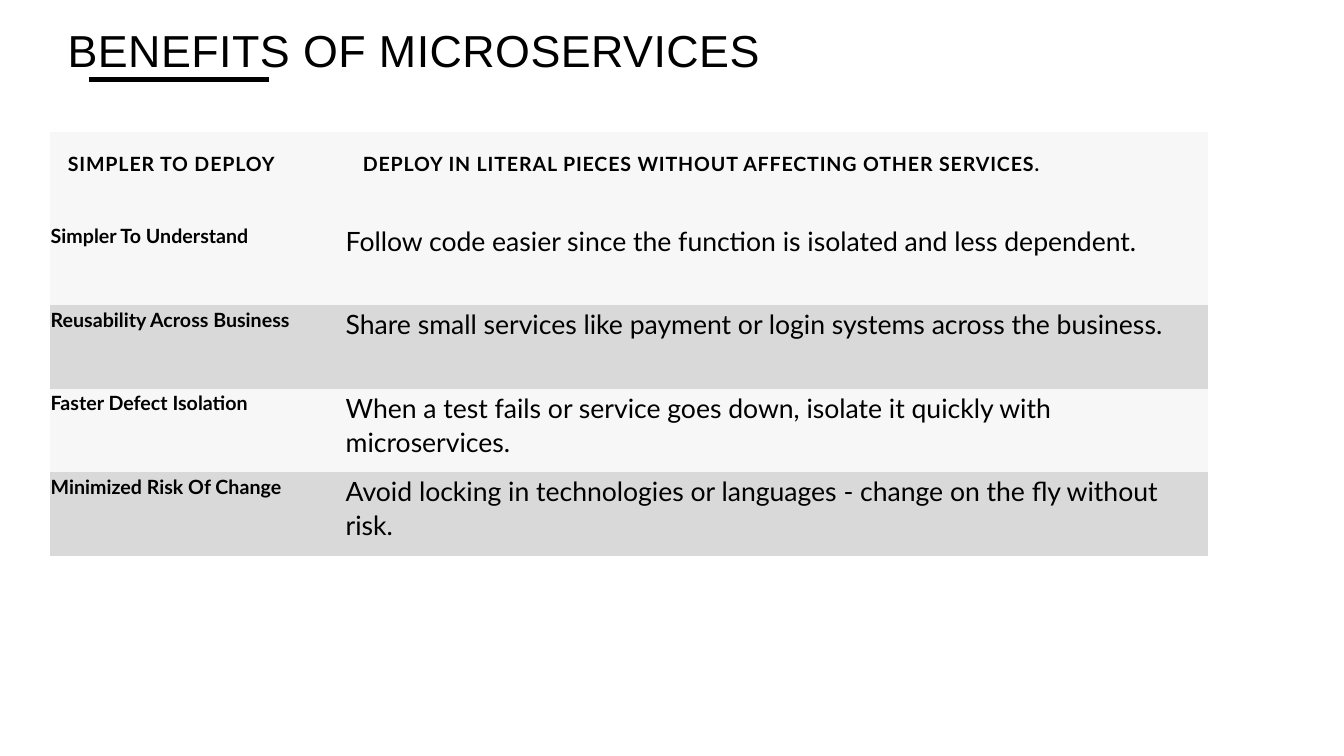
"""Build the slide on the benefits of microservices."""
from pptx import Presentation
from pptx import util as u
from pptx.dml import color
from pptx.enum import shapes, text
from pptx.oxml import ns, xmlchemy

BLACK = color.RGBColor(0x00, 0x00, 0x00)
PALE = color.RGBColor(0xF7, 0xF7, 0xF7)
GREY = color.RGBColor(0xD9, 0xD9, 0xD9)
NO_TABLE_STYLE = "{2D5ABB26-0587-4C30-8999-92F81FD0307C}"

BENEFITS = [
    ("SIMPLER TO DEPLOY",
     "DEPLOY IN LITERAL PIECES WITHOUT AFFECTING OTHER SERVICES."),
    ("Simpler To Understand",
     "Follow code easier since the function is isolated and less dependent."),
    ("Reusability Across Business",
     "Share small services like payment or login systems across the business."),
    ("Faster Defect Isolation",
     "When a test fails or service goes down, isolate it quickly with microservices."),
    ("Minimized Risk Of Change",
     "Avoid locking in technologies or languages - change on the fly without risk."),
]


def write(frame, wording, font="Lato", size=14, bold=False, tracking=0, leading=1.07):
    paragraph = frame.paragraphs[0]
    paragraph.alignment = text.PP_ALIGN.LEFT
    paragraph.line_spacing = leading
    paragraph.space_after = u.Pt(8)
    run = paragraph.add_run()
    run.text = wording
    run.font.name = font
    run.font.size = u.Pt(size)
    run.font.bold = bold
    run.font.color.rgb = BLACK
    run.font._element.set("spc", str(round(tracking * 100)))


class Deck:
    def __init__(self):
        self.presentation = Presentation()
        self.presentation.slide_width = u.Inches(13.33)
        self.presentation.slide_height = u.Inches(7.5)
        self.slide = self.presentation.slides.add_slide(
            self.presentation.slide_layouts[5])

    def across(self, percent):
        return round(self.presentation.slide_width * percent / 100)

    def down(self, percent):
        return round(self.presentation.slide_height * percent / 100)

    def title(self, wording, left, top, width, height):
        title = self.slide.shapes.title
        title.left, title.top = self.across(left), self.down(top)
        title.width, title.height = self.across(width), self.down(height)
        title.text_frame.auto_size = text.MSO_AUTO_SIZE.NONE
        title.text_frame.vertical_anchor = text.MSO_ANCHOR.MIDDLE
        write(title.text_frame, wording, font="Arial", size=32, tracking=0.3, leading=1)

    def rule(self, left, right, height, weight):
        rule = self.slide.shapes.add_connector(
            shapes.MSO_CONNECTOR.STRAIGHT, self.across(left), self.down(height),
            self.across(right), self.down(height))
        rule.line.color.rgb = BLACK
        rule.line.width = u.Pt(weight)
        rule._element.spPr.append(xmlchemy.OxmlElement("a:effectLst"))

    def table(self, rows, left, top, columns, header_height, row_height):
        heights = [header_height] + [row_height] * (len(rows) - 1)
        table = self.slide.shapes.add_table(
            len(rows), len(columns), self.across(left), self.down(top),
            self.across(sum(columns)), self.down(sum(heights))).table
        table.first_row = table.horz_banding = False
        table._tbl.tblPr.find(ns.qn("a:tableStyleId")).text = NO_TABLE_STYLE
        for column, width in zip(table.columns, columns):
            column.width = self.across(width)
        for index, wordings in enumerate(rows):
            table.rows[index].height = self.down(heights[index])
            for position, wording in enumerate(wordings):
                self.cell(table.cell(index, position), wording, header=index == 0,
                          label=position == 0,
                          fill=GREY if index and index % 2 == 0 else PALE)

    def cell(self, cell, wording, header, label, fill):
        cell.fill.solid()
        cell.fill.fore_color.rgb = fill
        margin = u.Inches(0.18 if header else 0.01)
        cell.margin_left = cell.margin_right = cell.margin_top = margin
        cell.margin_bottom = u.Inches(0.18 if header else 0.12)
        write(cell.text_frame, wording, size=14 if header or label else 19,
              bold=header or label, tracking=0.6 if header else 0)


deck = Deck()
deck.title("BENEFITS OF MICROSERVICES", left=4.28, top=1.47, width=89.2, height=10.27)
deck.rule(left=6.6, right=20.03, height=10.53, weight=3.5)
deck.table(BENEFITS, left=3.7, top=17.47, columns=(21.95, 64.2),
           header_height=11.87, row_height=11.04)
deck.presentation.save("out.pptx")
